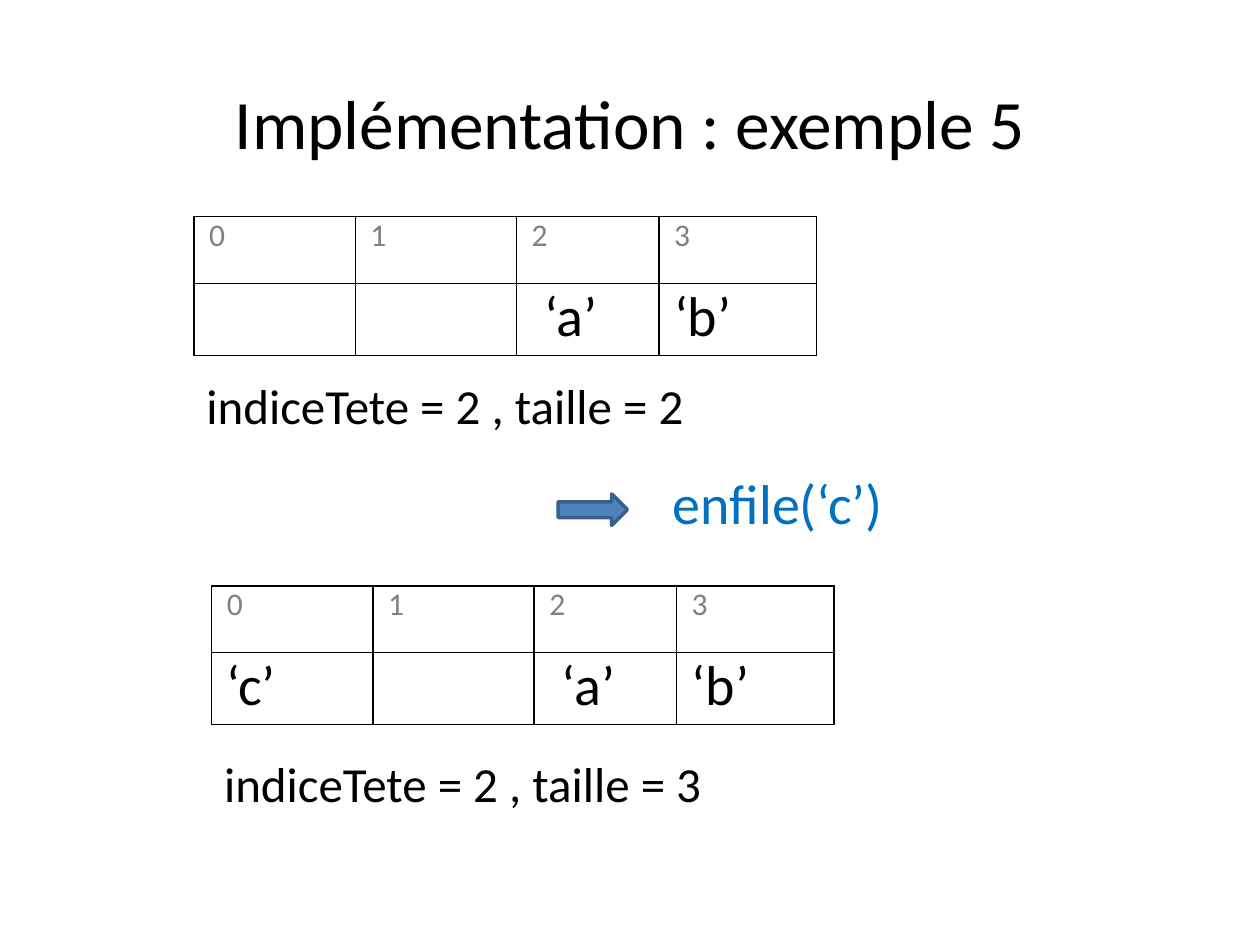
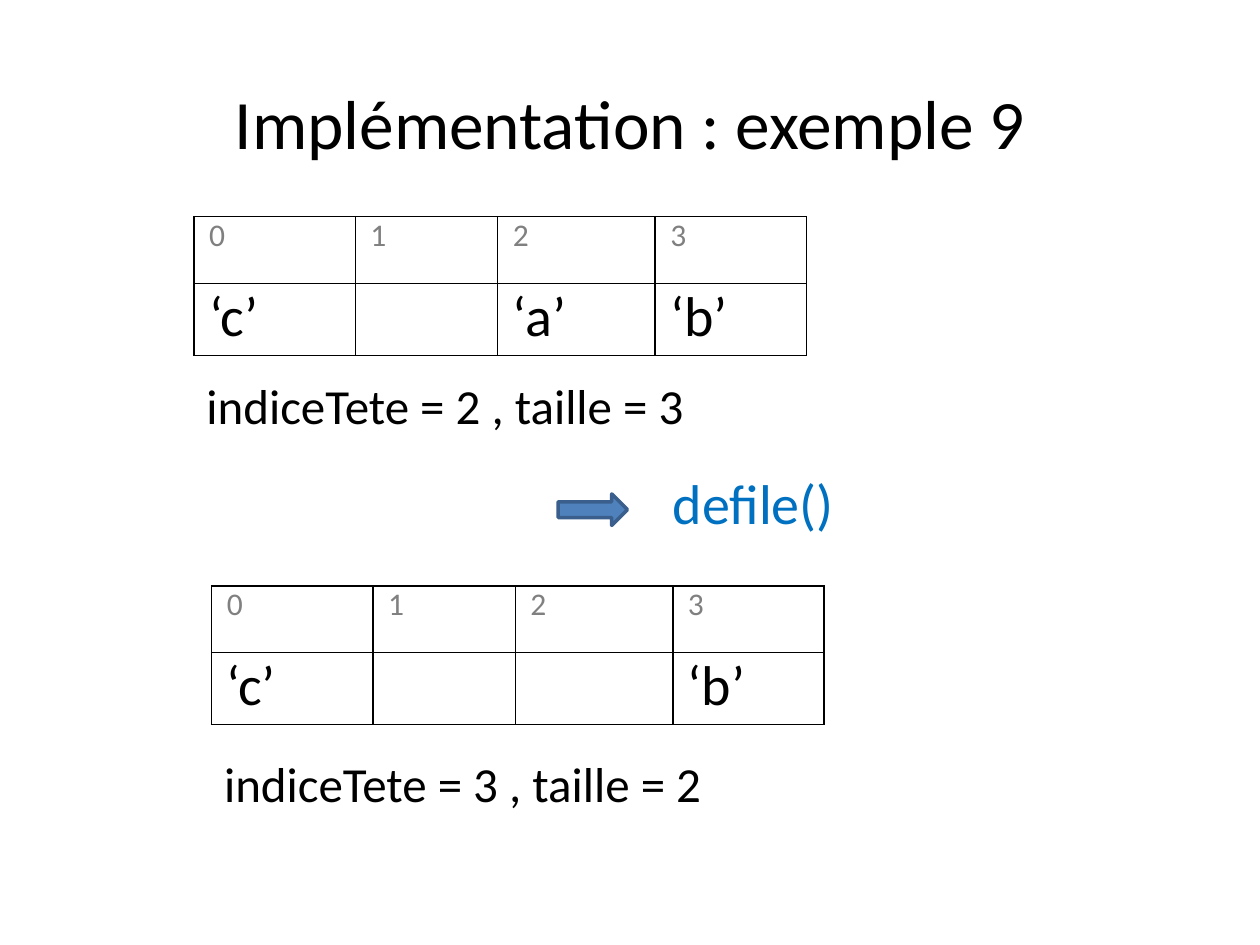
from lxml import etree
from pptx import Presentation
from pptx.dml.color import RGBColor
from pptx.enum import shapes, text
from pptx.oxml import ns
from pptx.util import Inches, Pt

FONT = "Calibri"
BLACK, GREY, BLUE = "000000", "808080", "0070C0"
ARROW_FILL, ARROW_LINE = "4F81BD", "3A5F8C"
ROW_HEIGHTS = (0.53, 0.57)
BEFORE_LEFT, AFTER_LEFT = 1.54, 1.68


def rgb(value):
    return RGBColor.from_string(value)


def style(p, size, color):
    p.font.name = FONT
    p.font.size = Pt(size)
    p.font.color.rgb = rgb(color)


def add_text(s, box, words, size, color=BLACK):
    tf = s.shapes.add_textbox(*map(Inches, box)).text_frame
    tf.word_wrap = True
    p = tf.paragraphs[0]
    p.text = words
    style(p, size, color)
    return tf


def add_title(s, words):
    tf = add_text(s, (0.5, 0.34, 9, 1.25), words, 39.6)
    tf.vertical_anchor = text.MSO_ANCHOR.MIDDLE
    tf.paragraphs[0].alignment = text.PP_ALIGN.CENTER


def add_borders(cell):
    """Draw a 1 pt black line on the four sides of a cell."""
    tc_pr = cell._tc.get_or_add_tcPr()
    for side in ("a:lnL", "a:lnR", "a:lnT", "a:lnB"):
        ln = etree.SubElement(tc_pr, ns.qn(side), w=str(Pt(1)))
        fill = etree.SubElement(ln, ns.qn("a:solidFill"))
        etree.SubElement(fill, ns.qn("a:srgbClr"), val=BLACK)


def fill_cell(cell, words, size, color):
    cell.margin_left = cell.margin_right = Inches(0.12)
    cell.margin_top = cell.margin_bottom = 0
    add_borders(cell)
    cell.fill.background()
    p = cell.text_frame.paragraphs[0]
    p.text = words
    style(p, size, color)


def add_queue(s, left, top, widths, values):
    """Show the array behind the queue: indices above, values below."""
    frame = s.shapes.add_table(2, len(values), Inches(left), Inches(top),
                               Inches(sum(widths)), Inches(sum(ROW_HEIGHTS)))
    table = frame.table
    table.first_row = table.horz_banding = False
    for row, height in zip(table.rows, ROW_HEIGHTS):
        row.height = Inches(height)
    for i, (width, value) in enumerate(zip(widths, values)):
        table.columns[i].width = Inches(width)
        fill_cell(table.cell(0, i), str(i), 18, GREY)
        fill_cell(table.cell(1, i), value, 32, BLACK)


def add_state(s, left, top, head, size):
    add_text(s, (left, top, 4.12, 0.57), f"indiceTete = {head} , taille = {size}", 28)


def add_operation(s, call):
    arrow = s.shapes.add_shape(shapes.MSO_SHAPE.RIGHT_ARROW, Inches(4.43),
                               Inches(3.92), Inches(0.55), Inches(0.25))
    arrow.shadow.inherit = False
    arrow.fill.solid()
    arrow.fill.fore_color.rgb = rgb(ARROW_FILL)
    arrow.line.color.rgb = rgb(ARROW_LINE)
    arrow.line.width = Pt(2)
    add_text(s, (5.24, 3.67, 1.97, 0.64), call, 32, BLUE)


def add_example(prs, number, call, widths, before, after):
    """Add a slide; before and after are (values, head index, size)."""
    s = prs.slides.add_slide(prs.slide_layouts[6])
    add_title(s, f"Implémentation : exemple {number}")
    places = ((BEFORE_LEFT, 1.72, 2.93), (AFTER_LEFT, 4.65, 5.93))
    for (left, queue_top, state_top), (values, head, size) in zip(places, (before, after)):
        add_queue(s, left, queue_top, widths, values)
        add_state(s, left, state_top, head, size)
    add_operation(s, call)


def main():
    prs = Presentation()
    prs.slide_width, prs.slide_height = Inches(10), Inches(7.5)
    add_example(prs, 5, "enfile(‘c’)", (1.28, 1.28, 1.13, 1.25),
                before=(("", "", " ‘a’", "‘b’"), 2, 2),
                after=(("‘c’", "", " ‘a’", "‘b’"), 2, 3))
    add_example(prs, 9, "defile()", (1.28, 1.13, 1.25, 1.2),
                before=(("‘c’", "", "‘a’", "‘b’"), 2, 3),
                after=(("‘c’", "", "", "‘b’"), 3, 2))
    prs.save("out.pptx")


if __name__ == "__main__":
    main()
